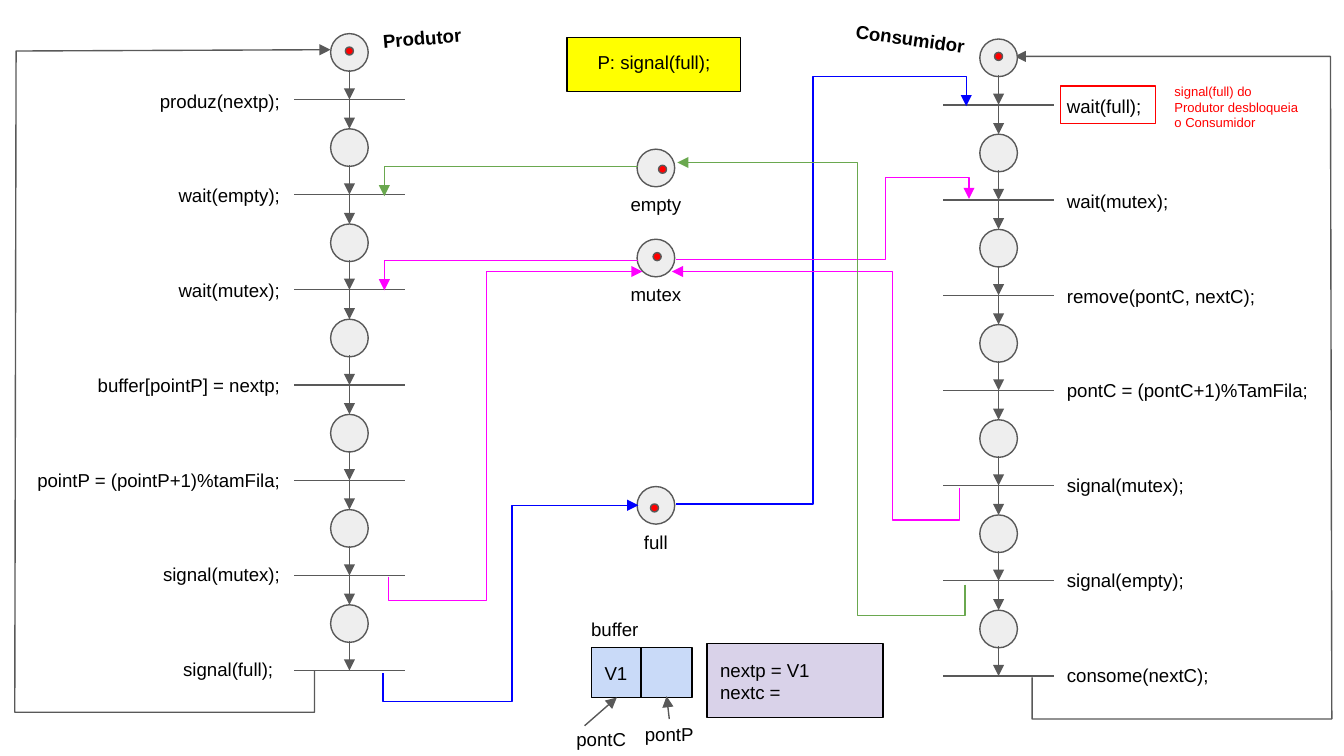
from dataclasses import dataclass
from typing import Any

from lxml import etree
from pptx import Presentation
from pptx import util as u
from pptx.dml.color import RGBColor
from pptx.enum import shapes, text
from pptx.oxml import ns

BLACK = RGBColor(0x00, 0x00, 0x00)
GRAY = RGBColor(0x59, 0x59, 0x59)
PALE_GRAY = RGBColor(0xEE, 0xEE, 0xEE)
RED = RGBColor(0xFF, 0x00, 0x00)
GREEN = RGBColor(0x6A, 0xA8, 0x4F)
MAGENTA = RGBColor(0xFF, 0x00, 0xFF)
BLUE = RGBColor(0x00, 0x00, 0xFF)
PALE_BLUE = RGBColor(0xC9, 0xDA, 0xF8)
LILAC = RGBColor(0xD9, 0xD2, 0xE9)
YELLOW = RGBColor(0xFF, 0xFF, 0x00)

LEFT = text.PP_ALIGN.LEFT
CENTER = text.PP_ALIGN.CENTER
RIGHT = text.PP_ALIGN.RIGHT
TOP = text.MSO_ANCHOR.TOP
MIDDLE = text.MSO_ANCHOR.MIDDLE

STEP = 4.25 / 6
PLACE = 0.28
TOKEN = 0.06

PRODUCER_STEPS = [
    "produz(nextp);", "wait(empty);", "wait(mutex);", "buffer[pointP] = nextp;",
    "pointP = (pointP+1)%tamFila;", "signal(mutex);", "signal(full);",
]
CONSUMER_STEPS = [
    "wait(full);", "wait(mutex);", "remove(pontC, nextC);",
    "pontC = (pontC+1)%TamFila;", "signal(mutex);", "signal(empty);",
    "consome(nextC);",
]
SEMAPHORES = [("empty", 1.11), ("mutex", 1.78), ("full", 3.62)]
LOOPS = [
    [(2.46, 0.37), (0.12, 0.38), (0.11, 5.3), (2.34, 5.3), (2.34, 4.99)],
    [(7.55, 0.42), (9.9, 0.42), (9.91, 5.35), (7.68, 5.35), (7.68, 5.04)],
]
ROUTES = [
    (GREEN, [(4.75, 1.24), (2.86, 1.24), (2.86, 1.46)]),
    (MAGENTA, [(4.75, 1.94), (2.86, 1.94), (2.86, 2.16)]),
    (BLUE, [(2.85, 5.01), (2.85, 5.22), (3.81, 5.22), (3.81, 3.76), (4.75, 3.76)]),
    (BLUE, [(5.03, 3.75), (6.05, 3.75), (6.05, 0.57), (7.19, 0.57), (7.19, 0.79)]),
    (MAGENTA, [(5.03, 1.93), (6.59, 1.93), (6.59, 1.32), (7.21, 1.32), (7.21, 1.48)]),
    (MAGENTA, [(2.89, 4.29), (2.89, 4.47), (3.62, 4.47), (3.62, 2.02), (4.78, 2.02)]),
    (MAGENTA, [(7.14, 3.63), (7.14, 3.87), (6.64, 3.87), (6.64, 2.02), (5, 2.02)]),
    (GREEN, [(7.18, 4.35), (7.18, 4.58), (6.38, 4.58), (6.38, 1.21), (5.04, 1.21)]),
]
TOKENS = [(2.57, 0.35), (7.4, 0.39), (4.9, 1.23), (4.84, 3.75), (4.86, 1.88)]


def write_text(frame, words, font="Arial", size=10, color=BLACK, bold=False,
               align=LEFT, anchor=MIDDLE):
    frame.word_wrap = True
    frame.vertical_anchor = anchor
    frame.margin_left = frame.margin_right = u.Inches(0.1)
    frame.margin_top = frame.margin_bottom = u.Inches(0.1)
    for index, line in enumerate(words.split("\n")):
        para = frame.add_paragraph() if index else frame.paragraphs[0]
        para.alignment = align
        span = para.add_run()
        span.text = line
        span.font.name = font
        span.font.size = u.Pt(size)
        span.font.bold = bold
        span.font.color.rgb = color


@dataclass
class Diagram:
    page: Any
    line_width: float = 0.75

    def stroke(self, item, color, end=None):
        item.line.color.rgb = color
        item.line.width = u.Pt(self.line_width)
        if end:
            outline = item.line._get_or_add_ln()
            etree.SubElement(outline, ns.qn(f"a:{end}"), type="triangle")

    def shape(self, kind, left, top, width, height, fill=None, line=BLACK,
              words="", **style):
        item = self.page.shapes.add_shape(
            kind, *map(u.Inches, (left, top, width, height)))
        item.shadow.inherit = False
        if fill is None:
            item.fill.background()
        else:
            item.fill.solid()
            item.fill.fore_color.rgb = fill
        self.stroke(item, line)
        if words:
            write_text(item.text_frame, words, **style)
        return item

    def rect(self, *place, **style):
        return self.shape(shapes.MSO_SHAPE.RECTANGLE, *place, **style)

    def circle(self, left, top, size=PLACE, fill=PALE_GRAY):
        return self.shape(shapes.MSO_SHAPE.OVAL, left, top, size, size,
                          fill=fill, line=GRAY)

    def label(self, words, left, top, width=1.44, height=0.4, turn=0, **style):
        box = self.page.shapes.add_textbox(
            *map(u.Inches, (left, top, width, height)))
        box.rotation = turn
        write_text(box.text_frame, words, **style)
        return box

    def line(self, x1, y1, x2, y2, end=None):
        link = self.page.shapes.add_connector(
            shapes.MSO_CONNECTOR.STRAIGHT, *map(u.Inches, (x1, y1, x2, y2)))
        self.stroke(link, GRAY, end)
        etree.SubElement(link._element.spPr, ns.qn("a:effectLst"))

    def route(self, points, color=GRAY, end="tailEnd"):
        corners = [(u.Inches(x), u.Inches(y)) for x, y in points]
        builder = self.page.shapes.build_freeform(*corners[0])
        builder.add_line_segments(corners[1:], close=False)
        item = builder.convert_to_shape()
        item.shadow.inherit = False
        item.fill.background()
        self.stroke(item, color, end)

    def process(self, steps, center, top):
        for index in range(len(steps)):
            y = top + index * STEP
            bar = y + 0.49
            self.circle(center - PLACE / 2, y)
            self.line(center - 0.41, bar, center + 0.41, bar)
            self.line(center, y + 0.27, center, bar, "tailEnd")
            if index < len(steps) - 1:
                self.line(center, bar, center, y + STEP, "tailEnd")

    def step_labels(self, steps, widths, edge, top, align):
        for index, words in enumerate(steps):
            width = widths.get(index, 1.44)
            left = edge - width if align == RIGHT else edge
            if words == PRODUCER_STEPS[-1]:
                left -= 0.05
            self.label(words, left, top + index * 4.23 / 6, width, align=align)

    def semaphore(self, name, top):
        place = self.circle(4.74, top)
        caption = self.label(name, 4.43, top + 0.21, 0.9, align=CENTER)
        self.page.shapes.add_group_shape([place, caption])


def main():
    deck = Presentation()
    deck.slide_width = u.Inches(10)
    deck.slide_height = deck.slide_width * 9 // 16
    diagram = Diagram(deck.slides.add_slide(deck.slide_layouts[6]))

    for points in LOOPS:
        diagram.route(points, end="headEnd")
    diagram.process(PRODUCER_STEPS, 2.6, 0.25)
    diagram.process(CONSUMER_STEPS, 7.43, 0.29)
    diagram.step_labels(PRODUCER_STEPS, {3: 1.66, 4: 2.26}, 2.18, 0.55, RIGHT)
    diagram.step_labels(CONSUMER_STEPS, {2: 1.66, 3: 2.16}, 7.84, 0.59, LEFT)
    diagram.label("Produtor", 2.75, 0.08, 0.83, turn=355.1, bold=True)
    diagram.label("Consumidor", 6.16, 0.08, 1.12, turn=7.9, bold=True, align=RIGHT)

    for name, top in SEMAPHORES:
        diagram.semaphore(name, top)
    for color, points in ROUTES:
        diagram.route(points, color)
    for left, top in TOKENS:
        diagram.circle(left, top, TOKEN, RED)

    diagram.rect(7.89, 0.64, 0.71, 0.28, line=RED)
    diagram.label("signal(full) do Produtor desbloqueia o Consumidor",
                  8.64, 0.52, 1.15, 0.71, size=7, color=RED, anchor=TOP)

    diagram.rect(4.4, 4.82, 0.38, 0.37, fill=PALE_BLUE, words="V1")
    diagram.rect(4.77, 4.82, 0.38, 0.37, fill=PALE_BLUE)
    diagram.label("buffer", 4.3, 4.48)
    diagram.label("pontP", 4.7, 5.26, 0.61)
    diagram.label("pontC", 4.19, 5.3, 0.61)
    diagram.line(4.98, 5.35, 4.96, 5.18, "tailEnd")
    diagram.line(4.35, 5.4, 4.59, 5.19, "tailEnd")
    diagram.rect(5.26, 4.79, 1.31, 0.55, fill=LILAC, words="nextp = V1\nnextc =")
    diagram.rect(4.22, 0.28, 1.29, 0.4, fill=YELLOW, words="P: signal(full);",
                 align=CENTER, anchor=TOP)

    deck.save("out.pptx")


if __name__ == "__main__":
    main()
